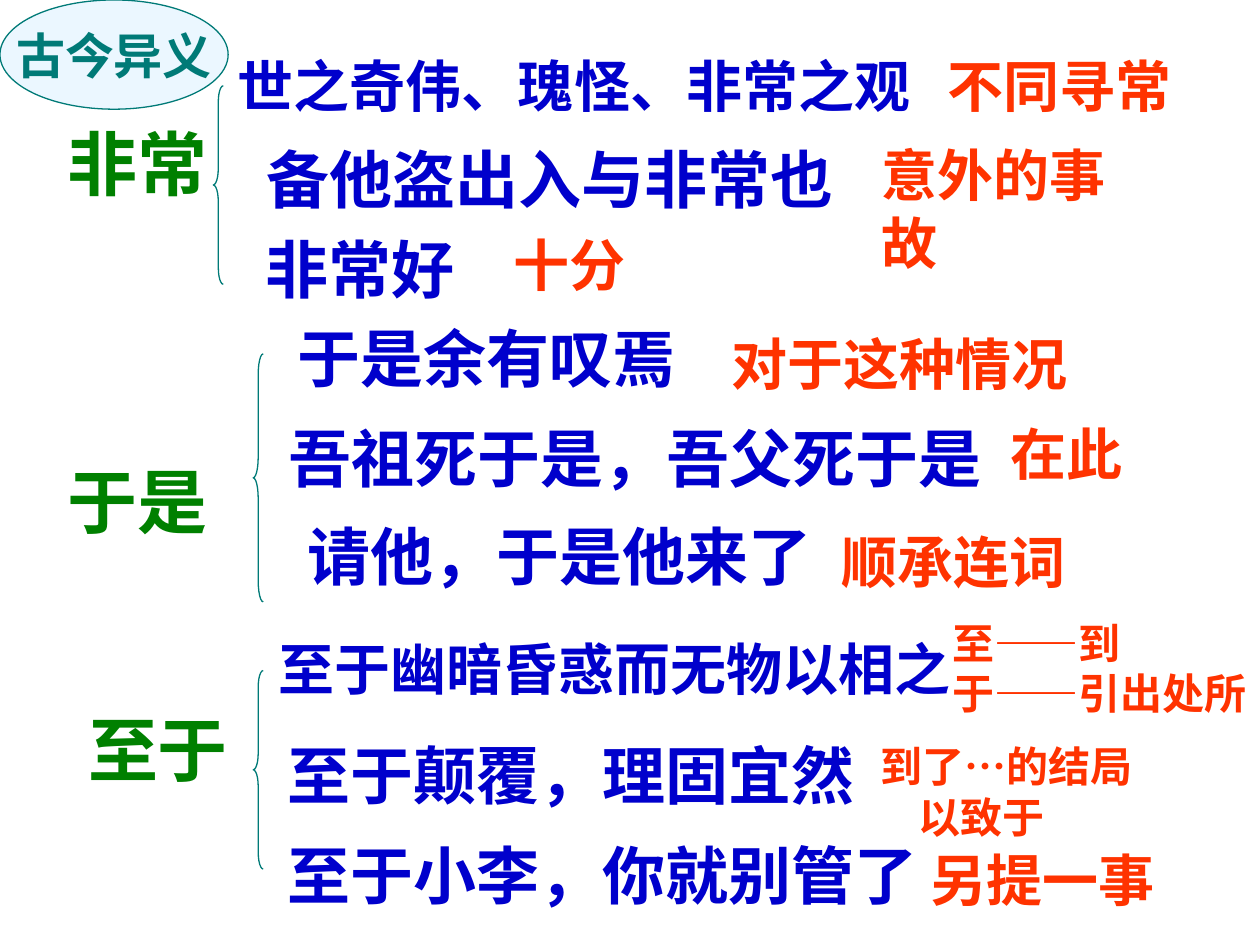
from pptx import Presentation
from pptx.dml.color import RGBColor
from pptx.enum.shapes import MSO_SHAPE as Shape
from pptx.enum.text import MSO_ANCHOR as Anchor, MSO_AUTO_SIZE as AutoSize, PP_ALIGN as Align
from pptx.util import Pt

GREEN, BLUE, RED, TEAL, PALE = "008000", "0000CC", "FF3300", "007A77", "EBF7FF"


def color(value):
    return RGBColor.from_string(value)


def add_text(frame, lines, size, ink):
    frame.word_wrap = False
    for index, line in enumerate(lines):
        para = frame.paragraphs[0] if index == 0 else frame.add_paragraph()
        span = para.add_run()
        span.text = line
        span.font.name = "Arial"
        span.font.size = Pt(size)
        span.font.bold = True
        span.font.color.rgb = color(ink)


deck = Presentation()
deck.slide_width, deck.slide_height = Pt(720), Pt(540)
page = deck.slides.add_slide(deck.slide_layouts[6])

# Words under study: word, left, top
words = [("非常", 31.7, 65.5), ("于是", 31.7, 258.5), ("至于", 43.2, 400.3)]

# Example sentences: text, left, top, width, size
examples = [
    ("世之奇伟、瑰怪、非常之观", 128.9, 25.9, 399, 32),
    ("备他盗出入与非常也", 145.4, 77, 338.4, 36),
    ("非常好", 144.7, 128.2, 122.4, 36),
    ("于是余有叹焉", 162.7, 179.3, 230.4, 36),
    ("吾祖死于是，吾父死于是", 157.7, 236.2, 410.4, 36),
    ("请他，于是他来了", 168.5, 292.3, 302.4, 36),
    ("至于幽暗昏惑而无物以相之", 151.9, 359.3, 399, 32),
    ("至于颠覆，理固宜然", 157, 417.6, 338.4, 36),
    ("至于小李，你就别管了", 157, 474.5, 374.4, 36),
]

# Meanings: lines, left, top, width, size
meanings = [
    (["不同寻常"], 534.2, 25.9, 156.2, 32),
    (["意外的事故"], 496.8, 77, 174.2, 32),
    (["十分"], 286.6, 128.2, 78.5, 32),
    (["对于这种情况"], 411.1, 185, 206.6, 32),
    (["在此"], 570.2, 236.2, 78.5, 32),
    (["顺承连词"], 473.8, 298.1, 142.6, 32),
    (["至——到", "于——引出处所"], 537.1, 349.2, 182.2, 24),
    (["到了…的结局", "以致于"], 496.1, 419.8, 182.2, 24),
    (["另提一事"], 524.9, 479.5, 142.6, 32),
]

# All text boxes share one form
entries = [([word], left, top, 94.3, 40, GREEN) for word, left, top in words]
entries += [([text], *place, BLUE) for text, *place in examples]
entries += [(*meaning, RED) for meaning in meanings]
for lines, left, top, width, size, ink in entries:
    height = 1.2 * size * len(lines) + 7.2
    box = page.shapes.add_textbox(Pt(left), Pt(top), Pt(width), Pt(height))
    add_text(box.text_frame, lines, size, ink)
    box.text_frame.auto_size = AutoSize.SHAPE_TO_FIT_TEXT
    if lines[-1] == "以致于":
        indent = box.text_frame.paragraphs[-1]._p.get_or_add_pPr()
        indent.set("marL", str(Pt(21.6)))

# Braces: left, top, height
for left, top, height in [(121.9, 49, 113.4), (144.7, 202.2, 141.7), (144.7, 383.2, 113.4)]:
    width = 5.7
    brace = page.shapes.add_shape(Shape.LEFT_BRACE, Pt(left), Pt(top), Pt(width), Pt(height))
    brace.adjustments[0] = height / width / 12
    brace.shadow.inherit = False
    brace.fill.background()
    brace.line.color.rgb = color(TEAL)
    brace.line.width = Pt(0.75)

# Topic oval
oval = page.shapes.add_shape(Shape.OVAL, Pt(0), Pt(0), Pt(130.4), Pt(62.4))
oval.shadow.inherit = False
oval.fill.solid()
oval.fill.fore_color.rgb = color(PALE)
oval.line.color.rgb = color(TEAL)
oval.line.width = Pt(0.75)
add_text(oval.text_frame, ["古今异义"], 28, TEAL)
oval.text_frame.vertical_anchor = Anchor.MIDDLE
oval.text_frame.paragraphs[0].alignment = Align.CENTER

deck.save("out.pptx")
